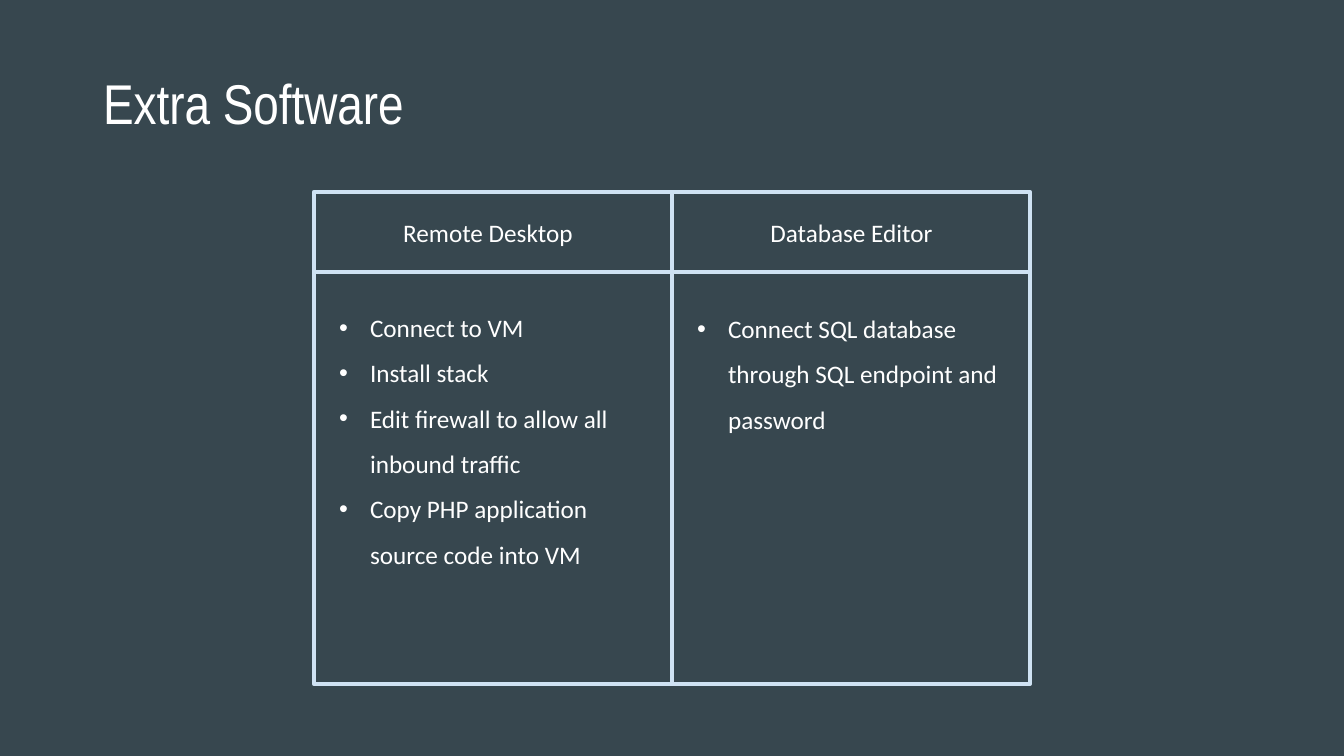
"""Build the Extra Software slide: two framed columns of set-up steps."""
from lxml import etree
from pptx import Presentation, util as u
from pptx.dml.color import RGBColor
from pptx.enum import shapes, text
from pptx.oxml.ns import qn

HUES = {"back": "37474F", "edge": "CFE2F3", "text": "FFFFFF"}
TOOLS = [
    ("Remote Desktop", (392, 212, 192, 40), (329, 292, 327, 270),
     ["Connect to VM", "Install stack", "Edit firewall to allow all inbound traffic",
      "Copy PHP application source code into VM"]),
    ("Database Editor", (742, 212, 219, 40), (687, 293, 327, 178),
     ["Connect SQL database through SQL endpoint and password"]),
]
LEFT, TOP, WIDE, HIGH, RULE = 314, 192, 358, 492, 272


def px(num):
    """Turn px into EMU."""
    return u.Emu(round(num * 12192000 / 1344))


def write(hold, box, lines, size, font, space, align, anchor):
    """Place a placeholder and fill it with formatted lines."""
    hold.left, hold.top, hold.width, hold.height = map(px, box)
    frame = hold.text_frame
    frame.text = "\n".join(lines)
    frame.word_wrap = True
    frame.auto_size = text.MSO_AUTO_SIZE.NONE
    frame.vertical_anchor = anchor
    for para in frame.paragraphs:
        para.alignment = align
        para.line_spacing = space
        para.space_before = u.Pt(0)
        para.font.size = u.Pt(size)
        para.font.name = font
        para.font.bold = False
        para.font.color.rgb = RGBColor.from_string(HUES["text"])


deck = Presentation()
deck.slide_width, deck.slide_height = px(1344), px(756)
slide = deck.slides.add_slide(deck.slide_layouts.get_by_name("Comparison"))
slide.background.fill.solid()
slide.background.fill.fore_color.rgb = RGBColor.from_string(HUES["back"])
holds = slide.placeholders
edge = RGBColor.from_string(HUES["edge"])
start, mid = text.PP_ALIGN.LEFT, text.PP_ALIGN.CENTER
high, centre = text.MSO_ANCHOR.TOP, text.MSO_ANCHOR.MIDDLE

write(slide.shapes.title, (93, 40, 545, 132), ["Extra Software"], 40,
      "Arial Narrow", 0.9, start, centre)

for col, (name, head, body, steps) in enumerate(TOOLS):
    frame = slide.shapes.add_shape(shapes.MSO_SHAPE.RECTANGLE, px(LEFT + col * WIDE),
                                   px(TOP), px(WIDE), px(HIGH))
    frame.shadow.inherit = False
    frame.fill.background()
    frame.line.color.rgb = edge
    frame.line.width = u.Pt(3)

    write(holds[1 + 2 * col], head, [name], 18, "Calibri", 1.0, mid, high)
    items = holds[2 + 2 * col]
    write(items, body, steps, 18, "Calibri", 1.5, start, high)
    for para in items.text_frame.paragraphs:
        props = para._p.get_or_add_pPr()
        props.set("marL", str(px(31)))
        props.set("indent", str(-px(31)))
        tint = etree.Element(qn("a:buClr"))
        etree.SubElement(tint, qn("a:srgbClr"), val=HUES["text"])
        face = etree.Element(qn("a:buFont"), typeface="Arial")
        dot = etree.Element(qn("a:buChar"), char="•")
        spot = props.index(props.find(qn("a:spcBef"))) + 1
        props[spot:spot] = [tint, face, dot]

rule = slide.shapes.add_connector(shapes.MSO_CONNECTOR.STRAIGHT, px(LEFT), px(RULE),
                                  px(LEFT + 2 * WIDE), px(RULE))
rule.line.color.rgb = edge
rule.line.width = u.Pt(2.25)
etree.SubElement(rule._element.spPr, qn("a:effectLst"))

deck.save("out.pptx")
